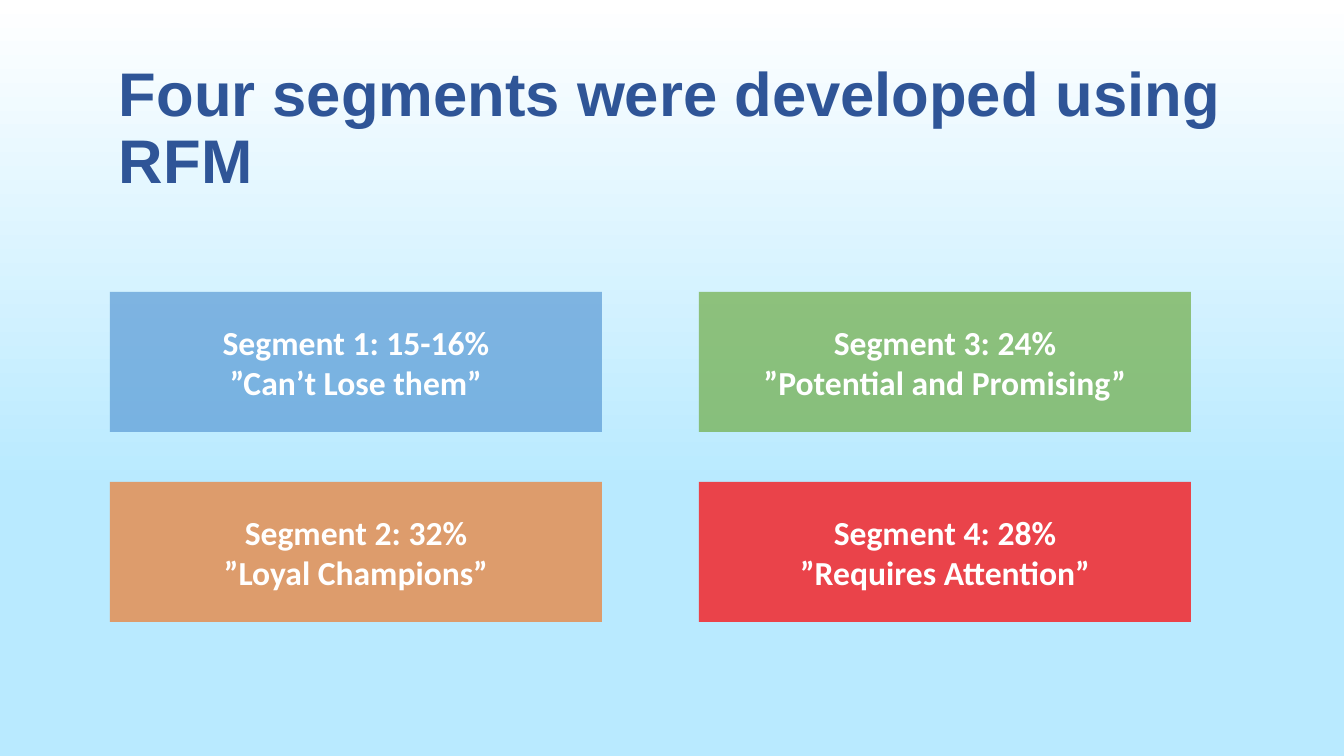
from dataclasses import dataclass

from lxml.etree import SubElement
from pptx import Presentation
from pptx.dml.color import RGBColor as Rgb
from pptx.enum.shapes import MSO_SHAPE as Shape
from pptx.enum.text import MSO_ANCHOR as Anchor, PP_ALIGN as Align
from pptx.oxml.ns import qn
from pptx.util import Emu, Pt


@dataclass(frozen=True)
class Theme:
    sky_top: str = "FFFFFF"
    sky_bottom: str = "B9EAFF"
    title_color: str = "2F5597"
    label_color: str = "FFFFFF"
    segment_colors: tuple = ("5B9BD5", "ED7D31", "70AD47", "FF0000")
    segment_opacity: int = 71
    title_font: str = "Arial"
    label_font: str = "Calibri"
    title_size: int = 44
    label_size: int = 24


THEME = Theme()
EMU_PER_PX = 914400 / 100.8
SEGMENTS = (
    ("Segment 1: 15-16%", "”Can’t Lose them”"),
    ("Segment 2: 32%", "”Loyal Champions”"),
    ("Segment 3: 24%", "”Potential and Promising”"),
    ("Segment 4: 28%", "”Requires Attention”"),
)
GRID_LEFT, GRID_TOP = 110, 292
COLUMN_STEP, ROW_STEP = 589, 190
CARD_WIDTH, CARD_HEIGHT = 492, 140
ROWS = 2


def px(*lengths):
    return [Emu(round(length * EMU_PER_PX)) for length in lengths]


def paint_background(slide):
    fill = slide.background.fill
    fill.gradient()
    fill.gradient_angle = 270
    stops = ((0, THEME.sky_top), (0.64, THEME.sky_bottom))
    for stop, (position, color) in zip(fill.gradient_stops, stops):
        stop.position = position
        stop.color.rgb = Rgb.from_string(color)


def write_text(shape, text, font_name, size, color, align):
    frame = shape.text_frame
    frame.word_wrap = True
    frame.vertical_anchor = Anchor.MIDDLE
    paragraph = frame.paragraphs[0]
    paragraph.text = text
    paragraph.alignment = align
    for run in paragraph.runs:
        run.font.name = font_name
        run.font.size = Pt(size)
        run.font.bold = True
        run.font.color.rgb = Rgb.from_string(color)
    return paragraph


def add_title(slide, text):
    box = slide.shapes.add_textbox(*px(109, 57, 1159, 146))
    paragraph = write_text(box, text, THEME.title_font, THEME.title_size,
                           THEME.title_color, Align.LEFT)
    paragraph.line_spacing = 0.9


def add_segment(slide, left, top, lines, color):
    card = slide.shapes.add_shape(
        Shape.RECTANGLE, *px(left, top, CARD_WIDTH, CARD_HEIGHT))
    card.shadow.inherit = False
    card.line.fill.background()
    card.fill.solid()
    card.fill.fore_color.rgb = Rgb.from_string(color)
    fill_color = card._element.spPr.find(qn("a:solidFill")).find(qn("a:srgbClr"))
    SubElement(fill_color, qn("a:alpha"), val=str(THEME.segment_opacity * 1000))
    write_text(card, "\v".join(lines), THEME.label_font, THEME.label_size,
               THEME.label_color, Align.CENTER)


def main():
    presentation = Presentation()
    presentation.slide_width, presentation.slide_height = px(1344, 756)
    slide = presentation.slides.add_slide(presentation.slide_layouts[6])
    paint_background(slide)
    for index, (lines, color) in enumerate(zip(SEGMENTS, THEME.segment_colors)):
        column, row = divmod(index, ROWS)
        add_segment(slide, GRID_LEFT + column * COLUMN_STEP,
                    GRID_TOP + row * ROW_STEP, lines, color)
    add_title(slide, "Four segments were developed using RFM")
    presentation.save("out.pptx")


if __name__ == "__main__":
    main()
